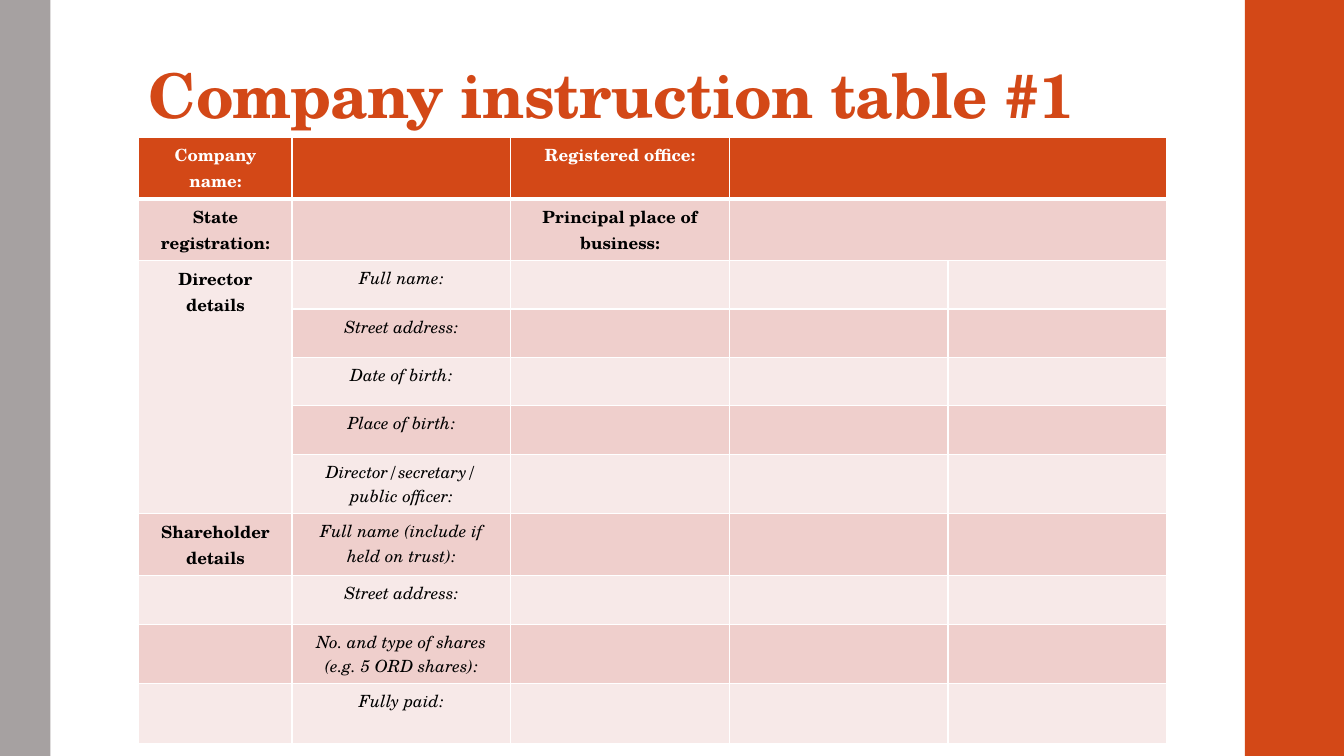
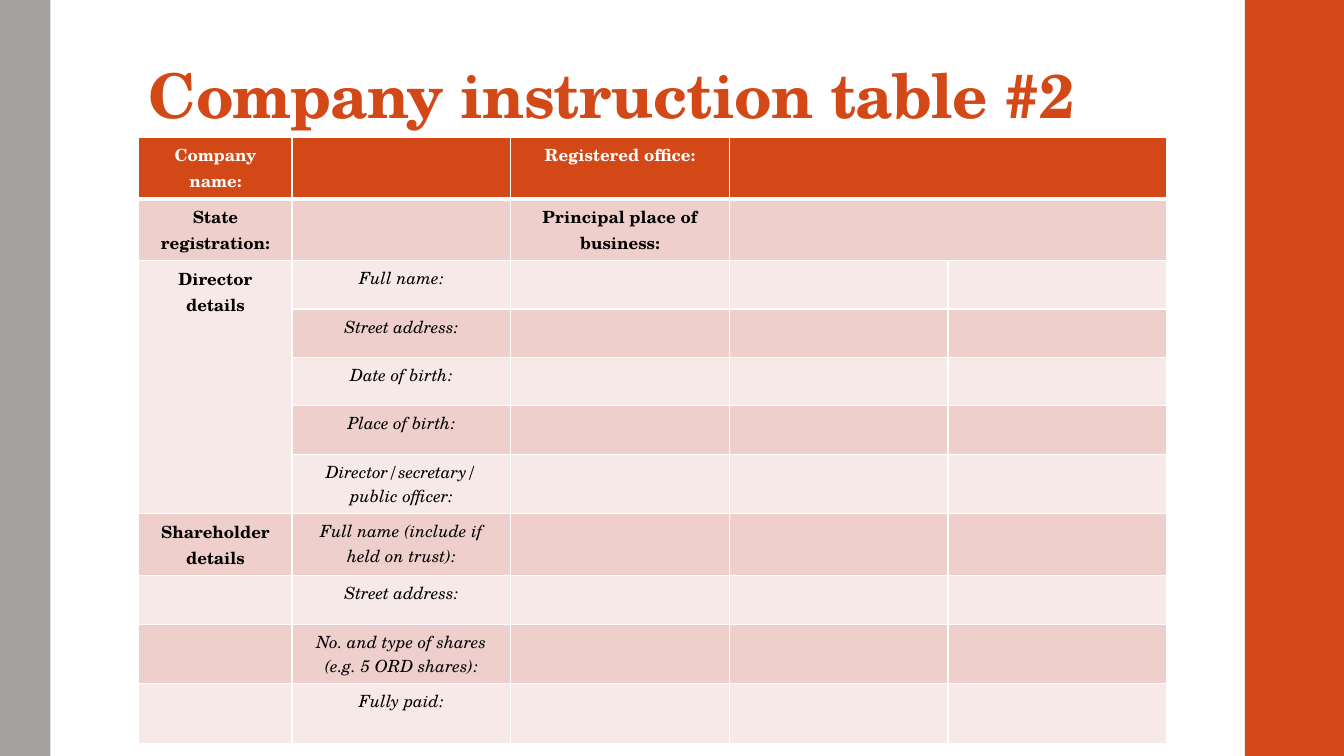
from dataclasses import dataclass

from lxml.etree import SubElement
from pptx import Presentation
from pptx.dml.color import RGBColor
from pptx.enum.shapes import MSO_SHAPE
from pptx.enum.text import MSO_ANCHOR, MSO_AUTO_SIZE, PP_ALIGN
from pptx.oxml.ns import qn
from pptx.util import Cm, Pt

TITLES = ["Company instruction table #1", "Company instruction table #2"]

# Row height in cm, then the labels from the first column on
ROWS = [
    (1.5, ["Company name:", "", "Registered office:"]),
    (1.5, ["State registration:", "", "Principal place of business:"]),
    (1.22, ["Director details", "Full name:"]),
    (1.22, ["", "Street address:"]),
    (1.22, ["", "Date of birth:"]),
    (1.22, ["", "Place of birth:"]),
    (1.5, ["", "Director/secretary/public officer:"]),
    (1.5, ["Shareholder details", "Full name (include if held on trust):"]),
    (1.22, ["", "Street address:"]),
    (1.5, ["", "No. and type of shares (e.g. 5 ORD shares):"]),
    (1.5, ["", "Fully paid:"]),
]
COLUMN_WIDTHS = [3.86] + [5.51] * 4
# First and last cell of each merged area, as (row, column)
MERGES = [((0, 3), (0, 4)), ((1, 3), (1, 4)), ((2, 0), (6, 0))]
COMPANY_ROWS = 2

SLIDE_WIDTH, SLIDE_HEIGHT = 33.87, 19.05
CONTENT_LEFT, TABLE_TOP = 3.5, 3.45
TITLE_TOP, TITLE_WIDTH = 1.12, 26.92


@dataclass(frozen=True)
class Theme:
    font: str = "TeX Gyre Schola"
    accent: str = "D34817"
    side: str = "A6A1A1"
    white: str = "FFFFFF"
    black: str = "000000"
    bands: tuple = ("F7E9E8", "EFCFCC")
    title_size: int = 44
    cell_size: int = 12
    border: int = 1
    header_border: int = 3


THEME = Theme()
SIDE_BANDS = [(31.37, 2.5, THEME.accent), (0, 1.27, THEME.side)]


def color(value):
    return RGBColor.from_string(value)


def style_text(paragraph, size, text_color, bold, italic=False):
    font = paragraph.font
    font.name, font.size = THEME.font, Pt(size)
    font.bold, font.italic = bold, italic
    font.color.rgb = color(text_color)


def add_master_bands(presentation, slide):
    """Draw the side bands and move them to the back of the slide master."""
    master_tree = presentation.slide_master.shapes.element
    for number, (left, width, fill) in enumerate(SIDE_BANDS):
        band = slide.shapes.add_shape(
            MSO_SHAPE.RECTANGLE, Cm(left), 0, Cm(width), Cm(SLIDE_HEIGHT))
        band.shadow.inherit = False
        band.fill.solid()
        band.fill.fore_color.rgb = color(fill)
        band.line.fill.background()
        band.name = f"Side band {number + 1}"
        band.element.nvSpPr.cNvPr.set("id", str(100 + number))
        master_tree.insert(2 + number, band.element)


def fill_title(title, text):
    title.left, title.top = Cm(CONTENT_LEFT), Cm(TITLE_TOP)
    title.width, title.height = Cm(TITLE_WIDTH), Cm(TABLE_TOP - TITLE_TOP)
    frame = title.text_frame
    frame.text = text
    frame.auto_size = MSO_AUTO_SIZE.NONE
    frame.word_wrap = True
    frame.vertical_anchor = MSO_ANCHOR.BOTTOM
    frame.margin_left = frame.margin_right = Cm(0.25)
    frame.margin_top, frame.margin_bottom = Cm(0.08), Cm(0.13)
    paragraph = frame.paragraphs[0]
    paragraph.alignment = PP_ALIGN.LEFT
    paragraph.line_spacing = 0.9
    style_text(paragraph, THEME.title_size, THEME.accent, bold=True)
    paragraph.runs[0].font.element.set("spc", "-50") if hasattr(
        paragraph.runs[0].font, "element") else \
        paragraph.runs[0]._r.get_or_add_rPr().set("spc", "-50")


def add_borders(cell, row):
    widths = {
        "a:lnL": THEME.border,
        "a:lnR": THEME.border,
        "a:lnT": THEME.header_border if row == 1 else THEME.border,
        "a:lnB": THEME.header_border if row == 0 else THEME.border,
    }
    properties = cell._tc.get_or_add_tcPr()
    for tag, width in widths.items():
        line = SubElement(properties, qn(tag), w=str(Pt(width)))
        fill = SubElement(line, qn("a:solidFill"))
        SubElement(fill, qn("a:srgbClr"), val=THEME.white)


def format_cell(cell, row, column, text):
    add_borders(cell, row)
    cell.fill.solid()
    cell.fill.fore_color.rgb = color(THEME.accent if row == 0 else THEME.bands[row % 2])
    if text:
        cell.text = text
        paragraph = cell.text_frame.paragraphs[0]
        paragraph.alignment = PP_ALIGN.CENTER
        heading = column == 0 or row < COMPANY_ROWS
        style_text(paragraph, THEME.cell_size,
                   THEME.white if row == 0 else THEME.black,
                   bold=heading, italic=not heading)


def add_instruction_table(slide):
    heights = [height for height, _ in ROWS]
    table = slide.shapes.add_table(
        len(ROWS), len(COLUMN_WIDTHS), Cm(CONTENT_LEFT), Cm(TABLE_TOP),
        Cm(sum(COLUMN_WIDTHS)), Cm(sum(heights))).table
    for column, width in zip(table.columns, COLUMN_WIDTHS):
        column.width = Cm(width)
    for row, (height, labels) in enumerate(ROWS):
        table.rows[row].height = Cm(height)
        for column in range(len(COLUMN_WIDTHS)):
            text = labels[column] if column < len(labels) else ""
            format_cell(table.cell(row, column), row, column, text)
    for first, last in MERGES:
        table.cell(*first).merge(table.cell(*last))


def main():
    presentation = Presentation()
    presentation.slide_width = Cm(SLIDE_WIDTH)
    presentation.slide_height = Cm(SLIDE_HEIGHT)
    title_only = presentation.slide_layouts[5]
    for number, title in enumerate(TITLES):
        slide = presentation.slides.add_slide(title_only)
        if number == 0:
            add_master_bands(presentation, slide)
        fill_title(slide.shapes.title, title)
        add_instruction_table(slide)
    presentation.save("out.pptx")


if __name__ == "__main__":
    main()
